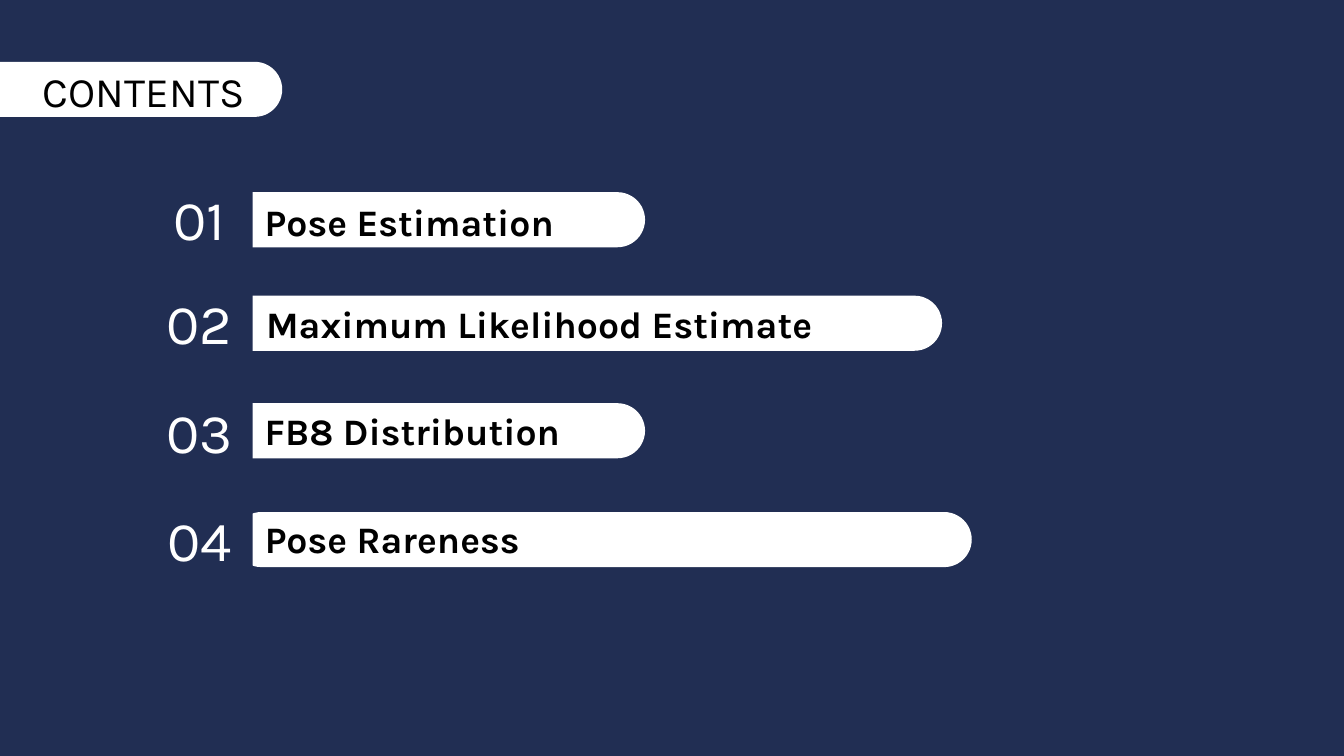
from pptx import Presentation
from pptx.dml.color import RGBColor
from pptx.enum.shapes import MSO_SHAPE as Shape
from pptx.enum.text import MSO_ANCHOR as Anchor, PP_ALIGN as Align
from pptx.util import Inches, Pt

COLORS = {"navy": "212E53", "white": "FFFFFF", "black": "000000"}
FONT = "Karla"

# Content: number, topic, tile top, pill (left, top, width), label (left, top, width)
TITLE = "CONTENTS"
TOPICS = [
    ("01", "Pose Estimation", 1.26, (1.56, 1.43, 3.24), (1.9, 1.44, 3.24)),
    ("02", "Maximum Likelihood Estimate", 2.03, (1.55, 2.2, 5.46), (1.91, 2.2, 5.16)),
    ("03", "FB8 Distribution", 2.84, (1.56, 3.0, 3.24), (1.9, 3.0, 3.24)),
    ("04", "Pose Rareness", 3.65, (1.74, 3.81, 5.49), (1.9, 3.8, 5.71)),
]
PILL_HEIGHT, LABEL_HEIGHT = 0.41, 0.54
TILE_LEFT, TILE_WIDTH, TILE_HEIGHT = 1.09, 0.79, 0.73


def color(name):
    return RGBColor.from_string(COLORS[name])


def add_block(page, kind, left, top, width, height, fill):
    block = page.shapes.add_shape(
        kind, Inches(left), Inches(top), Inches(width), Inches(height))
    block.shadow.inherit = False
    block.fill.solid()
    block.fill.fore_color.rgb = color(fill)
    block.line.fill.background()
    return block


def add_pill(page, left, top, width):
    pill = add_block(page, Shape.ROUNDED_RECTANGLE, left, top, width, PILL_HEIGHT, "white")
    pill.adjustments[0] = 0.5


def add_label(page, left, top, width, height):
    return page.shapes.add_textbox(
        Inches(left), Inches(top), Inches(width), Inches(height))


def write(box, text, size, ink, align, bold=False, insets=(0.07, 0.04)):
    frame = box.text_frame
    frame.text = text
    frame.word_wrap = True
    frame.margin_left = frame.margin_right = Inches(insets[0])
    frame.margin_top = frame.margin_bottom = Inches(insets[1])
    para = frame.paragraphs[0]
    para.alignment = align
    font = para.runs[0].font
    font.name, font.size, font.bold = FONT, Pt(size), bold
    font.color.rgb = color(ink)


# A 16:9 page
deck = Presentation()
deck.slide_width = Inches(10)
deck.slide_height = Inches(10) * 9 // 16
page = deck.slides.add_slide(deck.slide_layouts[6])
page.background.fill.solid()
page.background.fill.fore_color.rgb = color("navy")

# Title tab, running in from the left edge
add_pill(page, -0.79, 0.46, 2.89)
write(add_label(page, -0.49, 0.44, 2.41, 0.48), TITLE, 22.5, "black", Align.RIGHT,
      insets=(0.1, 0.05))

# Topics: the navy number tile squares off the left end of each pill
for number, topic, tile_top, pill, label in TOPICS:
    add_pill(page, *pill)
    write(add_label(page, *label, LABEL_HEIGHT), topic, 20, "black", Align.LEFT, bold=True)
    tile = add_block(page, Shape.RECTANGLE, TILE_LEFT, tile_top, TILE_WIDTH, TILE_HEIGHT, "navy")
    write(tile, number, 30, "white", Align.CENTER)
    tile.text_frame.vertical_anchor = Anchor.MIDDLE

deck.save("out.pptx")
